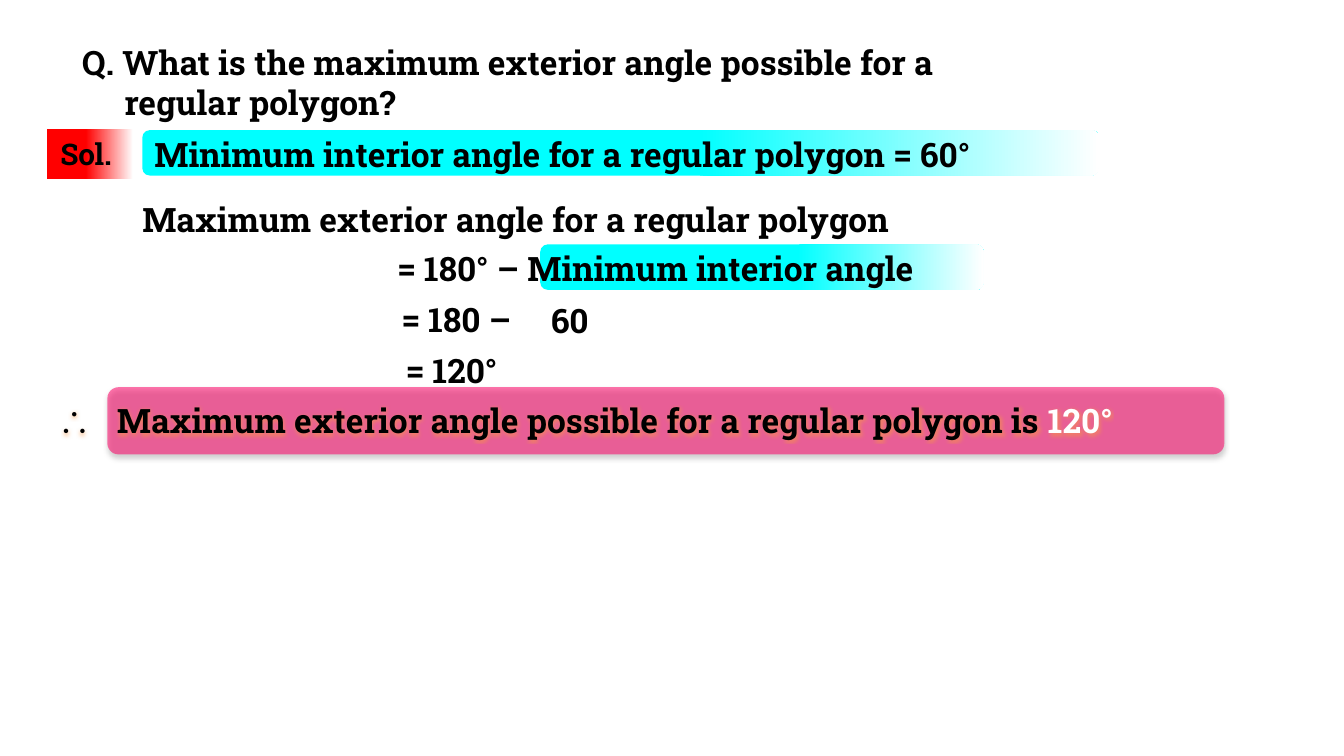
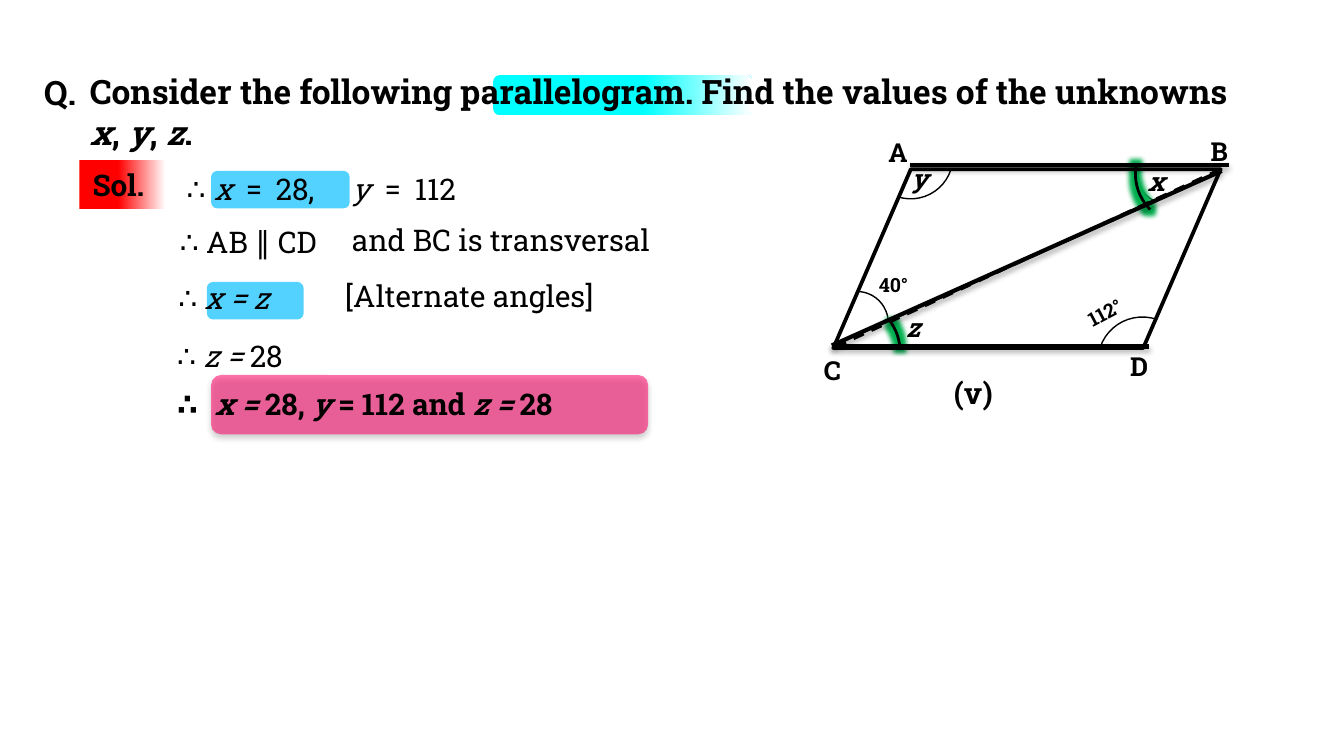
import dataclasses

import lxml.etree
import pptx
import pptx.dml.color
import pptx.enum.dml
import pptx.enum.shapes
import pptx.oxml.ns
import pptx.util

Cm = pptx.util.Cm
Pt = pptx.util.Pt
Kind = pptx.enum.shapes.MSO_SHAPE
qn = pptx.oxml.ns.qn


@dataclasses.dataclass(frozen=True)
class Theme:
    """Colours, fonts and sizes of the deck."""
    ink: str = "000000"
    white: str = "FFFFFF"
    red: str = "FF0000"
    cyan: str = "00FFFF"
    sky: str = "53D2FF"
    pink: str = "FF0066"
    green: str = "00B050"
    orange: str = "F79646"
    font: str = "Roboto Slab"
    head: float = 18
    body: float = 16
    label: float = 14
    small: float = 10.5


LOOK = Theme()


def tint(code):
    """Turn a hex code into a colour."""
    return pptx.dml.color.RGBColor.from_string(code)


def add(node, tag, **attrs):
    """Append a drawing element with its attributes."""
    child = lxml.etree.SubElement(node, qn("a:" + tag))
    for key, value in attrs.items():
        child.set(key, str(value))
    return child


def place(box, x, y, w, h):
    """Give lengths for a part placed inside a box."""
    return Cm(box[0] + x), Cm(box[1] + y), Cm(w), Cm(h)


def shade(effects):
    """Add a soft shadow that falls straight down."""
    node = add(effects, "outerShdw", blurRad=Pt(3.1), dist=Pt(1.8),
               dir=5400000, rotWithShape=0)
    add(add(node, "srgbClr", val=LOOK.ink), "alpha", val=35000)


def glow(effects, code, alpha):
    """Add a coloured glow."""
    node = add(effects, "glow", rad=Pt(5))
    add(add(node, "srgbClr", val=code), "alpha", val=alpha * 1000)


def style(frame, size, bold, slant=False):
    """Format every run of a frame; with slant, odd runs are italic."""
    for para in frame.paragraphs:
        for spot, run in enumerate(para.runs):
            font = run.font
            font.name, font.size, font.bold = LOOK.font, Pt(size), bold
            font.italic = slant and spot % 2 == 1
            font.color.rgb = tint(LOOK.ink)


def write(slide, spot, text, size=LOOK.body, bold=False, stops=(), slant=True, turn=0):
    """Write lines whose runs are parted by stars, with tab stops in cm."""
    shape = slide.shapes.add_textbox(*spot)
    shape.rotation = turn
    frame = shape.text_frame
    frame.word_wrap = True
    frame.margin_right = 0
    for row, line in enumerate(text.split("\n")):
        para = frame.add_paragraph() if row else frame.paragraphs[0]
        if stops:
            tabs = add(para._p.get_or_add_pPr(), "tabLst")
            for stop in stops:
                add(tabs, "tab", pos=Cm(stop), algn="l")
        for part in line.split("*"):
            if part:
                para.add_run().text = part
            elif not para.runs:
                para.add_run().text = ""
    style(frame, size, bold, slant)
    return frame


def block(slide, spot, code, kind=Kind.ROUNDED_RECTANGLE, fade=None):
    """Draw a filled block that may fade to white from a given share."""
    shape = slide.shapes.add_shape(kind, *spot)
    shape.shadow.inherit = False
    shape.line.fill.background()
    if fade is None:
        shape.fill.solid()
        shape.fill.fore_color.rgb = tint(code)
        return shape
    shape.fill.gradient()
    shape.fill.gradient_angle = 0
    pairs = ((fade, code), (1, LOOK.white))
    for stop, (share, hue) in zip(shape.fill.gradient_stops, pairs):
        stop.position = share
        stop.color.rgb = tint(hue)
    return shape


def band(slide, spot):
    """Draw the cyan marker band."""
    block(slide, spot, LOOK.cyan, fade=0.58)


def badge(slide, x, y):
    """Draw the red solution badge."""
    shape = block(slide, place((x, y), 0, 0, 1.63, 0.94), LOOK.red, Kind.RECTANGLE, 0.45)
    frame = shape.text_frame
    frame.text = "Sol."
    frame.word_wrap = True
    frame.margin_right = 0
    frame.paragraphs[0].alignment = pptx.enum.text.PP_ALIGN.LEFT
    style(frame, LOOK.body, True)


def banner(slide, spot):
    """Draw the pink answer banner."""
    shape = block(slide, spot, LOOK.pink)
    hue = shape._element.spPr.find(qn("a:solidFill"))[0]
    add(hue, "alpha", val=54000)
    shade(shape._element.spPr.find(qn("a:effectLst")))


def proof(slide, box):
    """Place the working for the exterior angle."""
    band(slide, place(box, 0.25, 0.05, 18.08, 0.86))
    band(slide, place(box, 7.77, 2.21, 8.38, 0.86))
    lines = ((0.23, 0, "Minimum interior angle for a regular polygon = 60°"),
             (0, 1.22, "Maximum exterior angle for a regular polygon"))
    for x, y, text in lines:
        write(slide, place(box, x, y, box[2], 1.02), text, LOOK.head, True)
    sums = ("= 180° – Minimum interior angle", "= 180 –", "= 120°")
    for row, text in enumerate(sums):
        spot = place(box, 4.82 + 0.08 * row, 2.16 + 0.96 * row, 11.4, 1.02)
        write(slide, spot, text, LOOK.head, True)
    write(slide, place(box, 7.72, 3.13, 1.37, 1.02), "60", LOOK.head, True)


def result(slide, box):
    """Place the glowing answer line on its banner."""
    banner(slide, place(box, 1.19, 0, 21.11, 1.27))
    text = "∴*\tMaximum exterior angle possible for a regular polygon is *120°"
    frame = write(slide, place(box, 0, 0.12, box[2], 1.02), text,
                  LOOK.head, True, (1.12,), False)
    runs = frame.paragraphs[0].runs
    runs[0].font.name = "Arial"
    runs[-1].font.color.rgb = tint(LOOK.white)
    for run in runs:
        props = run._r.get_or_add_rPr()
        effects = add(props, "effectLst")
        glow(effects, LOOK.orange, 60)
        props.find(qn("a:latin")).addprevious(effects)


def steps(slide, box):
    """Place the working for the unknown angles."""
    block(slide, place(box, 0.89, 0.13, 2.62, 0.71), LOOK.sky)
    block(slide, place(box, 0.81, 2.23, 1.83, 0.71), LOOK.sky)
    banner(slide, place(box, 0.89, 3.99, 8.26, 1.12))
    lines = ((0.05, 1.01, 3.51, "∴ AB ∥ CD"),
             (3.3, 0.96, 6.55, "and BC is transversal"),
             (0.02, 2.06, 2.51, "∴ *x = z"),
             (3.17, 2.03, 5.36, "[Alternate angles]"),
             (0, 3.15, 2.87, "∴ *z = *28"))
    for x, y, w, text in lines:
        write(slide, place(box, x, y, w, 0.94), text)
    first = write(slide, place(box, 0.18, 0, 3.4, 0.94), "∴\t*x*\t=\t28,",
                  stops=(0.52, 1.12, 1.68))
    first.paragraphs[0].runs[0].font.name = "Calibri"
    write(slide, place(box, 3.3, 0, 2.95, 0.94), "*y*\t=\t112".lstrip("*").join(("", "")),
          stops=(0.62, 1.19), slant=False).paragraphs[0].runs[0].font.italic = True
    write(slide, place(box, 0, 4.06, 9.14, 0.94),
          "∴\t*x = *28, *y* = 112 and *z = *28", bold=True, stops=(0.71,))


def arc(slide, spot, turn, ends, width=0.75, lit=False):
    """Draw an angle mark."""
    shape = slide.shapes.add_shape(Kind.ARC, *spot)
    shape.shadow.inherit = False
    shape.rotation = turn
    for index, end in enumerate(ends):
        shape.adjustments[index] = end
    shape.fill.background()
    shape.line.color.rgb = tint(LOOK.ink)
    shape.line.width = Pt(width)
    if lit:
        glow(shape._element.spPr.find(qn("a:effectLst")), LOOK.green, 100)


def edge(slide, box, start, end, width=2.25, dash=False):
    """Draw a line between two points of a box."""
    points = [Cm(box[k] + point[k]) for point in (start, end) for k in (0, 1)]
    line = slide.shapes.add_connector(pptx.enum.shapes.MSO_CONNECTOR.STRAIGHT, *points)
    line.line.color.rgb = tint(LOOK.ink)
    line.line.width = Pt(width)
    if dash:
        line.line.dash_style = pptx.enum.dml.MSO_LINE.DASH
    effects = add(line._element.spPr, "effectLst")
    if not dash:
        shade(effects)


def figure(slide, box):
    """Draw the parallelogram with its diagonal, angles and labels."""
    arcs = ((0.77, 3.87, 1.19, 45, (162, 195.83)),
            (5.75, 3.99, 1.68, 288.9, ()),
            (1.41, 0.16, 1.6, 107.7, ()),
            (6.51, 0.82, 1.02, 192.9, (169.58, 0)),
            (0.6, 3.51, 1.19, 0, ()),
            (6.46, 0.34, 1.9, 215.3, (167.94, 201.69), 1.5, True),
            (0.11, 3.69, 1.9, 35.8, (174.01, 192.18), 1.5, True))
    for x, y, size, *rest in arcs:
        arc(slide, place(box, x, y, size, size), *rest)
    shape = slide.shapes.add_shape(Kind.FLOWCHART_DATA, *place(box, 0.75, 1.2, 7.32, 3.38))
    shape.shadow.inherit = False
    shape.fill.background()
    shape.line.color.rgb = tint(LOOK.ink)
    shape.line.width = Pt(2)
    edge(slide, box, (8.06, 1.2), (0.75, 4.58), 1.5, True)
    edge(slide, box, (0.72, 4.53), (8.09, 1.23))
    edge(slide, box, (0.72, 4.55), (6.72, 4.55))
    edge(slide, box, (2.2, 1.12), (8.22, 1.12))
    names = (("A", 1.54, 0.46), ("B", 7.63, 0.44), ("C", 0.32, 4.58), ("D", 6.11, 4.5),
             ("x", 6.44, 1), ("y", 1.97, 0.95), ("z", 1.87, 3.77))
    for name, x, y in names:
        frame = write(slide, place(box, x, y, 0.87, 0.86), name, LOOK.label, True)
        frame.paragraphs[0].runs[0].font.italic = name.islower()
    write(slide, place(box, 1.36, 3.03, 1.17, 0.71), "40°", LOOK.small, True)
    write(slide, place(box, 5.29, 3.51, 1.4, 0.71), "112°", LOOK.small, True, turn=332.2)
    write(slide, place(box, 2.78, 4.96, 1.47, 0.94), "(v)", bold=True)


def polygon(slide):
    """Build the slide on the greatest exterior angle."""
    text = "Q. What is the maximum exterior angle possible for a\nregular polygon?"
    frame = write(slide, place((1.3, 0.66), 0, 0, 19.89, 1.8), text, LOOK.head, True)
    frame.paragraphs[1]._p.get_or_add_pPr().set("marL", str(Cm(0.8)))
    badge(slide, 0.89, 2.44)
    proof(slide, (2.44, 2.41, 20.62, 5.09))
    result(slide, (0.84, 7.32, 23.37, 1.27))


def unknowns(slide):
    """Build the slide on the angles of a parallelogram."""
    band(slide, place((9.32, 1.42), 0, 0, 4.9, 0.76))
    write(slide, place((0.58, 1.24), 0, 0, 1.24, 1.02), "Q.", LOOK.head, True)
    text = ("Consider the following parallelogram. Find the values of the unknowns "
            "*x*, *y*, *z*.")
    write(slide, place((1.45, 1.22), 0, 0, 22.23, 1.8), text, LOOK.head, True)
    badge(slide, 1.5, 3.02)
    steps(slide, (3.1, 3.1, 9.85, 5.11))
    figure(slide, (15, 2, 8.5, 5.9))


def main():
    """Build and save the deck."""
    deck = pptx.Presentation()
    deck.slide_width, deck.slide_height = Cm(25.4), Cm(14.29)
    for build in (polygon, unknowns):
        build(deck.slides.add_slide(deck.slide_layouts[6]))
    deck.save("out.pptx")


if __name__ == "__main__":
    main()
